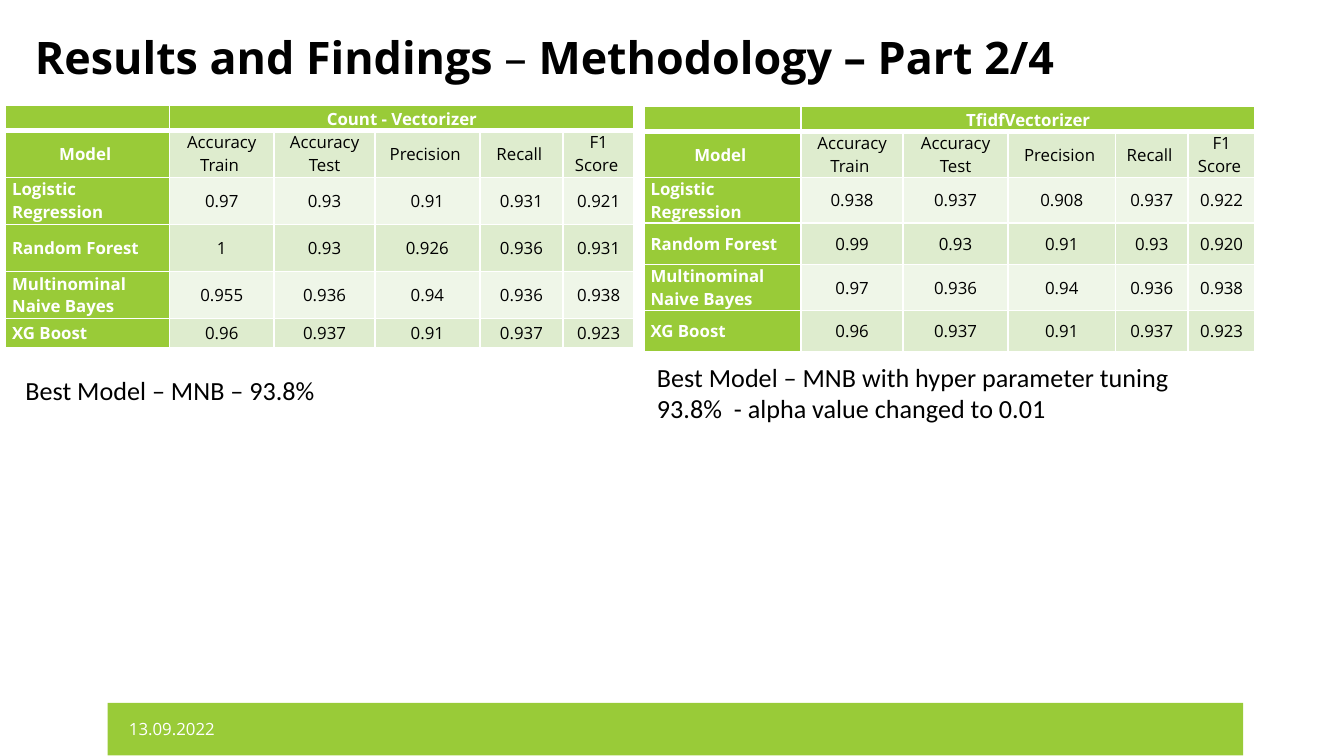
from lxml import etree
from pptx import Presentation
from pptx.dml.color import RGBColor
from pptx.enum.shapes import MSO_SHAPE
from pptx.enum.text import MSO_ANCHOR, PP_ALIGN
from pptx.oxml.ns import qn
from pptx.util import Inches, Pt

RECT = MSO_SHAPE.RECTANGLE
TOP, MIDDLE, BOTTOM = MSO_ANCHOR.TOP, MSO_ANCHOR.MIDDLE, MSO_ANCHOR.BOTTOM
LEFT, CENTER, JUSTIFY = PP_ALIGN.LEFT, PP_ALIGN.CENTER, PP_ALIGN.JUSTIFY

GREEN, PALE, FAINT = "99CB38", "DEECCE", "EFF6E8"
WHITE, BLACK = "FFFFFF", "000000"
SANS = "Open Sans"

HEADS = ["Model ", "Accuracy Train ", "Accuracy Test", "Precision ", "Recall ", "F1 Score "]
MODELS = ["Logistic Regression ", "Random Forest ", "Multinominal Naive Bayes ", "XG Boost "]
COUNT = [
    ["0.97", "0.93", "0.91", "0.931", "0.921"],
    ["1", "0.93", "0.926", "0.936", "0.931"],
    ["0.955", "0.936", "0.94", "0.936", "0.938"],
    ["0.96", "0.937", "0.91", "0.937", "0.923"],
]
TFIDF = [
    ["0.938", "0.937", "0.908", "0.937", "0.922"],
    ["0.99", "0.93", "0.91", "0.93", "0.920"],
    ["0.97", "0.936", "0.94", "0.936", "0.938"],
    ["0.96", "0.937", "0.91", "0.937", "0.923"],
]


def color(code):
    return RGBColor.from_string(code)


def paint(item, code):
    item.fill.solid()
    item.fill.fore_color.rgb = color(code)


def write(frame, runs, size=9, font=SANS, ink=BLACK, align=LEFT, before=0, after=0):
    """Fill a text frame's paragraph with (text, bold) runs."""
    par = frame.paragraphs[0]
    par.alignment = align
    par.space_before, par.space_after = Pt(before), Pt(after)
    for text, bold in runs:
        run = par.add_run()
        run.text = text
        run.font.size, run.font.name, run.font.bold = Pt(size), font, bold
        run.font.color.rgb = color(ink)
    if not runs:
        etree.SubElement(par._p, qn("a:endParaRPr"), sz=str(size * 100))


def add_text(slide, box, runs, pads=(0.1, 0.05, 0.1, 0.05), anchor=TOP, **style):
    frame = slide.shapes.add_textbox(*map(Inches, box)).text_frame
    frame.word_wrap = True
    frame.vertical_anchor = anchor
    (frame.margin_left, frame.margin_top,
     frame.margin_right, frame.margin_bottom) = map(Inches, pads)
    write(frame, runs, **style)


def add_bar(slide, box):
    bar = slide.shapes.add_shape(RECT, *map(Inches, box))
    bar.shadow.inherit = False
    paint(bar, GREEN)
    bar.line.fill.background()


def add_edges(cell, base):
    props = cell._tc.get_or_add_tcPr()
    for side in "LRTB":
        width = base if side == "B" else 1
        line = etree.SubElement(props, qn("a:ln" + side), w=str(int(Pt(width))))
        fill = etree.SubElement(line, qn("a:solidFill"))
        etree.SubElement(fill, qn("a:srgbClr"), val=WHITE)


def style_cell(cell, text, row, col):
    head = row == 0 or col == 0
    cell.margin_left = cell.margin_right = Inches(0.05)
    cell.margin_top = cell.margin_bottom = 0
    cell.vertical_anchor = BOTTOM if row == 0 else MIDDLE
    add_edges(cell, 3 if row == 0 else 1)
    paint(cell, GREEN if head else PALE if row % 2 else FAINT)
    write(cell.text_frame, [(text, head)] if text else [],
          ink=WHITE if head else BLACK, before=6,
          align=JUSTIFY if col == 0 and row > 1 else CENTER)


def add_scores(slide, left, top, cols, rows, name, scores):
    box = (left, top, sum(cols), sum(rows))
    table = slide.shapes.add_table(len(rows), len(cols), *map(Inches, box)).table
    for part, width in zip(table.columns, cols):
        part.width = Inches(width)
    for part, height in zip(table.rows, rows):
        part.height = Inches(height)
    lines = [["", name, "", "", "", ""], HEADS]
    lines += [[model] + vals for model, vals in zip(MODELS, scores)]
    for row, line in enumerate(lines):
        for col, text in enumerate(line):
            style_cell(table.cell(row, col), text, row, col)
    table.cell(0, 1).merge(table.cell(0, 5))


def main():
    deck = Presentation()
    # Widescreen, 16 to 9
    deck.slide_width = Inches(10)
    deck.slide_height = Inches(10 * 9 / 16)
    slide = deck.slides.add_slide(deck.slide_layouts[6])

    # Footer bar and title
    add_bar(slide, (0.8, 5.23, 8.45, 0.39))
    add_text(slide, (0.26, 0.22, 9.07, 0.55),
             [("Results and Findings", True), (" – ", False),
              ("Methodology – Part 2/4", True)],
             pads=(0, 0, 0, 0.05), size=24)

    # Score tables
    add_scores(slide, 0.04, 0.78, [1.22, 0.78, 0.75, 0.78, 0.62, 0.53],
               [0.19] + [0.35] * 4 + [0.22], "Count - Vectorizer", COUNT)
    add_scores(slide, 4.79, 0.79, [1.17, 0.76, 0.78, 0.8, 0.54, 0.5],
               [0.19, 0.34, 0.34, 0.31, 0.34, 0.31], "TfidfVectorizer", TFIDF)

    # Best models
    for box, text in [
        ((0.09, 2.74, 4.35, 0.34), "Best Model – MNB – 93.8% "),
        ((4.79, 2.64, 4.56, 0.57), "Best Model – MNB with hyper parameter tuning  "
                                   "93.8%  - alpha value changed to 0.01"),
    ]:
        add_text(slide, box, [(text, False)], size=14, font="Calibri")

    # Date
    add_text(slide, (0.96, 5.27, 1.2, 0.3), [("13.09.2022", False)],
             pads=(0, 0, 0, 0), anchor=MIDDLE, ink=WHITE, before=2, after=6)

    deck.save("out.pptx")


main()
